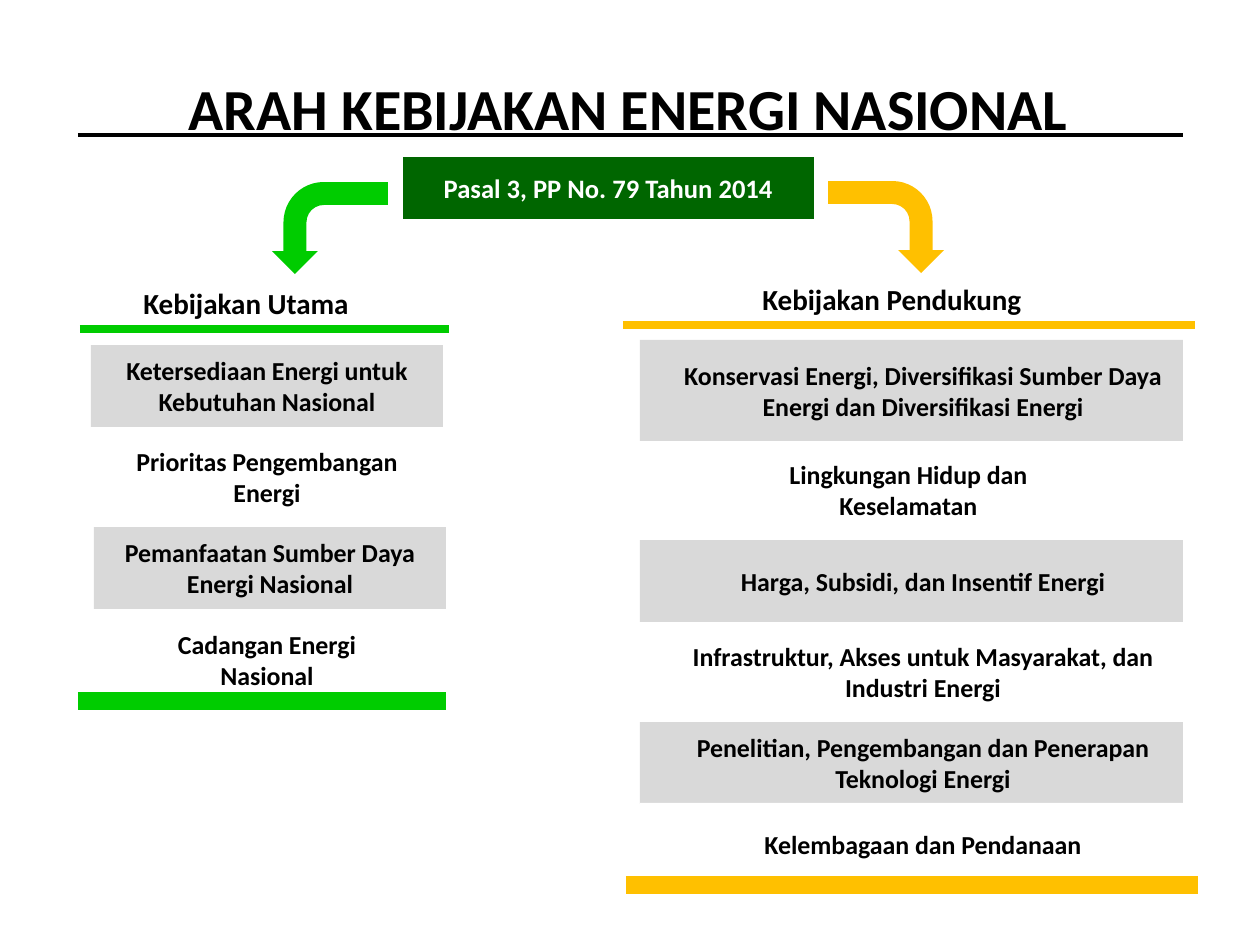
from dataclasses import dataclass
from lxml.etree import SubElement
from pptx import Presentation
from pptx.dml.color import RGBColor as RGB
from pptx.enum.shapes import MSO_CONNECTOR as LINK, MSO_SHAPE as SHAPE
from pptx.enum.text import MSO_ANCHOR as ANCHOR, PP_ALIGN as ALIGN
from pptx.oxml.ns import qn
from pptx.util import Pt

SCALE = 914400 / 126


@dataclass(frozen=True)
class Theme:
    font: str = "Calibri"
    ink: str = "000000"
    paper: str = "FFFFFF"
    gray: str = "D9D9D9"
    dark: str = "006600"
    green: str = "00CC00"
    gold: str = "FFC000"
    title: float = 33.2
    head: float = 16.6
    law: float = 15.2
    item: float = 14.8


T = Theme()

# Policy items: left, top, width, height, text
MAIN = [
    (91, 345, 352, 82, "Ketersediaan Energi untuk\nKebutuhan Nasional"),
    (91, 436, 352, 82, "Prioritas Pengembangan Energi"),
    (94, 527, 352, 82, "Pemanfaatan Sumber Daya Energi Nasional"),
    (91, 619, 352, 82, "Cadangan Energi\nNasional"),
]
SUPPORT = [
    (640, 340, 543, 101, "Konservasi Energi, Diversifikasi Sumber Daya "
                         "Energi dan Diversifikasi Energi"),
    (721, 449, 352, 82, "Lingkungan Hidup dan Keselamatan"),
    (640, 540, 543, 82, "Harga, Subsidi, dan Insentif Energi"),
    (640, 631, 543, 82, "Infrastruktur, Akses untuk Masyarakat, dan "
                        "Industri Energi"),
    (640, 722, 543, 82, "Penelitian, Pengembangan dan Penerapan "
                        "Teknologi Energi"),
    (640, 803, 543, 82, "Kelembagaan dan Pendanaan"),
]


def px(*nums):
    return [round(n * SCALE) for n in nums]


def write(frame, text, size, color, align):
    frame.text = text
    for par in frame.paragraphs:
        par.alignment = align
        for run in par.runs:
            font = run.font
            font.name, font.size, font.bold = T.font, Pt(size), True
            font.color.rgb = RGB.from_string(color)


def add_form(slide, kind, box, fill):
    form = slide.shapes.add_shape(kind, *px(*box))
    form.shadow.inherit = False
    form.fill.solid()
    form.fill.fore_color.rgb = RGB.from_string(fill)
    form.line.fill.background()
    return form


def add_box(slide, box, text, fill, size, color):
    form = add_form(slide, SHAPE.RECTANGLE, box, fill)
    frame = form.text_frame
    frame.word_wrap = True
    frame.vertical_anchor = ANCHOR.MIDDLE
    write(frame, text, size, color, ALIGN.CENTER)
    return form


def add_items(slide, items, indent=0, gap=0):
    for i, (*box, text) in enumerate(items):
        fill = T.paper if i % 2 else T.gray
        form = add_box(slide, box, text, fill, T.item, T.ink)
        for par in form.text_frame.paragraphs:
            par.space_before = par.space_after = Pt(gap)
            par._p.get_or_add_pPr().set("marL", str(px(indent)[0]))


def add_label(slide, box, text):
    frame = slide.shapes.add_textbox(*px(*box)).text_frame
    frame.word_wrap = False
    write(frame, text, T.head, T.ink, ALIGN.LEFT)


def add_rule(slide, left, right, y, color, width):
    rule = slide.shapes.add_connector(LINK.STRAIGHT, *px(left, y, right, y))
    rule.line.color.rgb = RGB.from_string(color)
    rule.line.width = Pt(width)
    SubElement(rule._element.spPr, qn("a:effectLst"))


def add_arrow(slide, left, top, turn, color, flip=False):
    arrow = add_form(slide, SHAPE.BENT_ARROW, (left, top, 92, 116), color)
    arrow.rotation = turn
    if flip:
        arrow._element.spPr.xfrm.set("flipH", "1")


def set_title(slide, box, text):
    title = slide.shapes.title
    title.left, title.top, title.width, title.height = px(*box)
    frame = title.text_frame
    frame.word_wrap = False
    frame.vertical_anchor = ANCHOR.TOP
    write(frame, text, T.title, T.ink, ALIGN.LEFT)


def main():
    deck = Presentation()
    deck.slide_width, deck.slide_height = px(1260, 945)
    slide = deck.slides.add_slide(deck.slide_layouts[5])

    # Heading and legal basis
    set_title(slide, (176, 66, 914, 83), "ARAH KEBIJAKAN ENERGI NASIONAL")
    add_rule(slide, 78, 1183, 135, T.ink, 2)
    law = add_box(slide, (400, 154, 417, 68), "Pasal 3, PP No. 79 Tahun 2014",
                  T.dark, T.law, T.paper)
    law.line.color.rgb = RGB.from_string(T.paper)
    law.line.width = Pt(3)

    # Main policies
    add_label(slide, (131, 279, 233, 48), "Kebijakan Utama")
    add_items(slide, MAIN)
    add_rule(slide, 80, 449, 329, T.green, 4.5)
    add_rule(slide, 78, 446, 701, T.green, 10)
    add_arrow(slide, 284, 170, 270, T.green, flip=True)

    # Supporting policies
    add_label(slide, (750, 275, 287, 48), "Kebijakan Pendukung")
    add_items(slide, SUPPORT, indent=23, gap=2.8)
    add_rule(slide, 623, 1195, 325, T.gold, 4.5)
    add_rule(slide, 626, 1198, 885, T.gold, 10)
    add_arrow(slide, 840, 169, 90, T.gold)

    deck.save("out.pptx")


if __name__ == "__main__":
    main()
